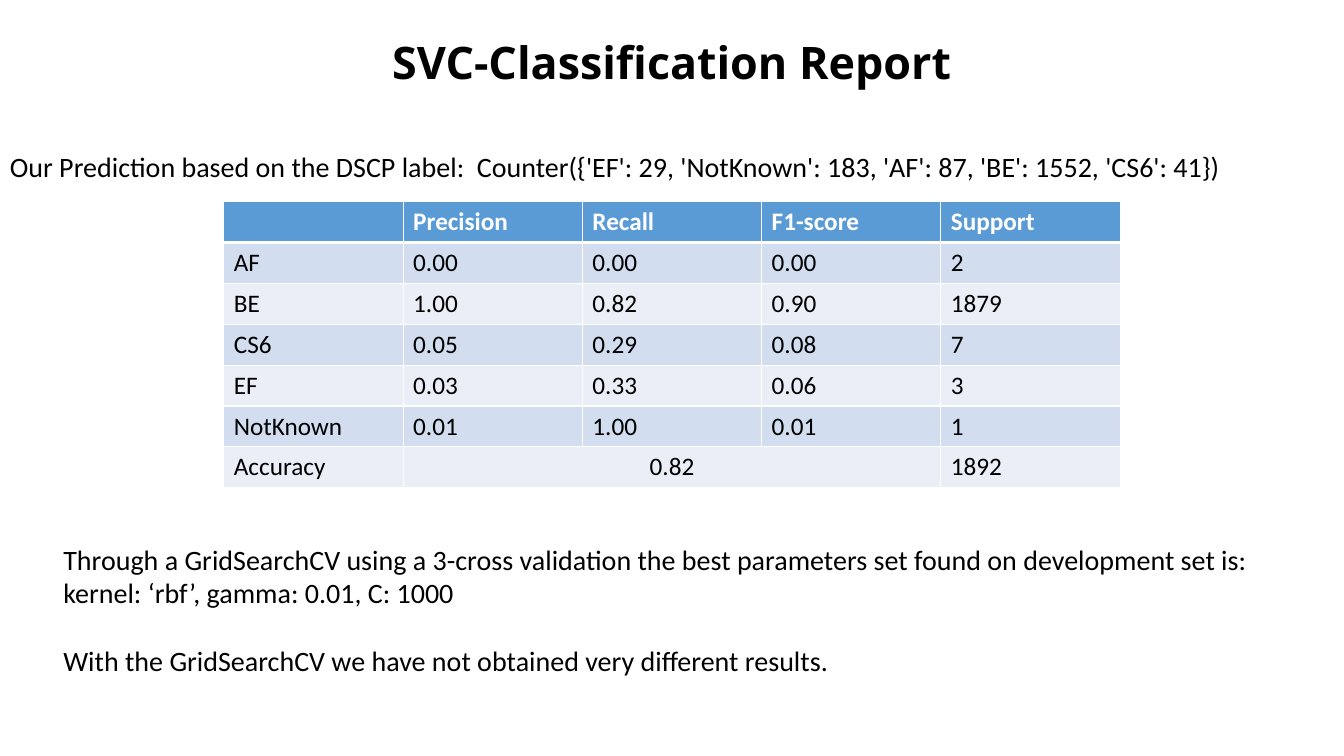
from dataclasses import dataclass

import lxml.etree
import pptx
import pptx.dml.color
import pptx.enum.text
import pptx.oxml.ns
import pptx.presentation
import pptx.slide
import pptx.table
import pptx.text.text
import pptx.util

Inches = pptx.util.Inches
Align = pptx.enum.text.PP_ALIGN


@dataclass(frozen=True)
class Theme:
    title_font: str = "Open Sans"
    body_font: str = "Calibri"
    title_size: int = 32
    body_size: int = 20
    table_size: int = 18
    black: str = "000000"
    white: str = "FFFFFF"
    header_fill: str = "5B9BD5"
    band_fills: tuple[str, str] = ("D2DEEF", "EAEFF7")
    grid_width: int = 1
    header_rule_width: int = 3


@dataclass(frozen=True)
class Box:
    left: float
    top: float
    width: float
    height: float

    def lengths(self) -> tuple[int, int, int, int]:
        return (Inches(self.left), Inches(self.top), Inches(self.width), Inches(self.height))


@dataclass(frozen=True)
class Note:
    box: Box
    lines: tuple[str, ...]
    gap_before_last: int = 0


THEME = Theme()
TITLE_BOX = Box(2.61, 0.29, 8.11, 0.64)
TABLE_BOX = Box(2.22, 2, 8.89, 2.84)
REPORT = (
    ("", "Precision", "Recall", "F1-score", "Support"),
    ("AF", "0.00", "0.00", "0.00", "2"),
    ("BE", "1.00", "0.82", "0.90", "1879"),
    ("CS6", "0.05", "0.29", "0.08", "7"),
    ("EF", "0.03", "0.33", "0.06", "3"),
    ("NotKnown", "0.01", "1.00", "0.01", "1"),
    ("Accuracy", "0.82", "", "", "1892"),
)
NOTES = (
    Note(
        Box(0, 1.43, 13.24, 0.44),
        ("Our Prediction based on the DSCP label:  Counter({'EF': 29, 'NotKnown': 183, "
         "'AF': 87, 'BE': 1552, 'CS6': 41})",),
    ),
    Note(
        Box(0.53, 5.33, 12.2, 1.45),
        (
            "Through a GridSearchCV using a 3-cross validation the best parameters set "
            "found on development set is:",
            "kernel: ‘rbf’, gamma: 0.01, C: 1000",
            "With the GridSearchCV we have not obtained very different results.",
        ),
        gap_before_last=24,
    ),
)


def format_runs(paragraph: pptx.text.text._Paragraph, font_name: str, size: int,
                color: str, bold: bool = False) -> None:
    for run in paragraph.runs:
        run.font.name = font_name
        run.font.size = pptx.util.Pt(size)
        run.font.bold = bold
        run.font.color.rgb = pptx.dml.color.RGBColor.from_string(color)


def add_title(slide: pptx.slide.Slide, text: str) -> None:
    title = slide.shapes.title
    title.left, title.top, title.width, title.height = TITLE_BOX.lengths()
    title.text_frame.text = text
    paragraph = title.text_frame.paragraphs[0]
    paragraph.alignment = Align.CENTER
    paragraph.line_spacing = 1.0
    format_runs(paragraph, THEME.title_font, THEME.title_size, THEME.black, bold=True)


def add_note(slide: pptx.slide.Slide, note: Note) -> None:
    text_frame = slide.shapes.add_textbox(*note.box.lengths()).text_frame
    text_frame.word_wrap = True
    text_frame.text = "\n".join(note.lines)
    for paragraph in text_frame.paragraphs:
        format_runs(paragraph, THEME.body_font, THEME.body_size, THEME.black)
    if note.gap_before_last:
        text_frame.paragraphs[-1].space_before = pptx.util.Pt(note.gap_before_last)


def set_border(cell: pptx.table._Cell, side: str, width: int) -> None:
    qualified = pptx.oxml.ns.qn
    properties = cell._tc.get_or_add_tcPr()
    line = lxml.etree.SubElement(properties, qualified(f"a:ln{side}"), w=str(pptx.util.Pt(width)))
    fill = lxml.etree.SubElement(line, qualified("a:solidFill"))
    lxml.etree.SubElement(fill, qualified("a:srgbClr"), val=THEME.white)


def format_cell(cell: pptx.table._Cell, text: str, row: int) -> None:
    is_header = row == 0
    for side in "LRTB":
        touches_rule = (is_header and side == "B") or (row == 1 and side == "T")
        set_border(cell, side, THEME.header_rule_width if touches_rule else THEME.grid_width)
    fill = THEME.header_fill if is_header else THEME.band_fills[(row - 1) % 2]
    cell.fill.solid()
    cell.fill.fore_color.rgb = pptx.dml.color.RGBColor.from_string(fill)
    cell.text_frame.text = text
    color = THEME.white if is_header else THEME.black
    format_runs(cell.text_frame.paragraphs[0], THEME.body_font, THEME.table_size, color, is_header)


def add_report(slide: pptx.slide.Slide) -> None:
    table = slide.shapes.add_table(len(REPORT), len(REPORT[0]), *TABLE_BOX.lengths()).table
    for row, values in enumerate(REPORT):
        for column, value in enumerate(values):
            format_cell(table.cell(row, column), value, row)
    last_row = len(REPORT) - 1
    accuracy = table.cell(last_row, 1)
    accuracy.merge(table.cell(last_row, 3))
    accuracy.text_frame.paragraphs[0].alignment = Align.CENTER


def build() -> pptx.presentation.Presentation:
    presentation = pptx.Presentation()
    presentation.slide_width = Inches(13.33)
    presentation.slide_height = Inches(7.5)
    slide = presentation.slides.add_slide(presentation.slide_layouts.get_by_name("Title Only"))
    add_title(slide, "SVC-Classification Report")
    add_report(slide)
    for note in NOTES:
        add_note(slide, note)
    return presentation


if __name__ == "__main__":
    build().save("out.pptx")
